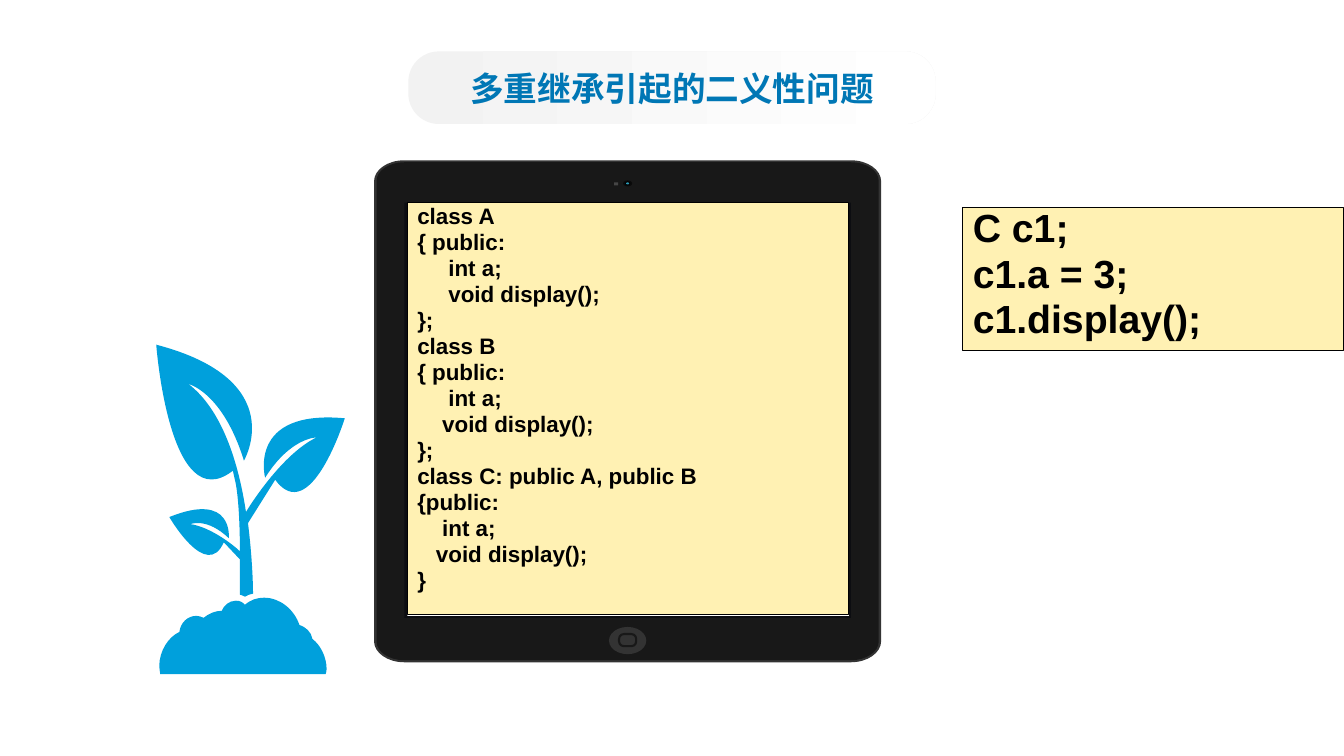
from collections import namedtuple

from lxml import etree
from pptx import Presentation
from pptx import util as u
from pptx.dml.color import RGBColor
from pptx.enum import shapes, text
from pptx.oxml.ns import qn

COLORS = {
    "frame": "333333", "body": "181818", "lens": "0A0A0A", "pupil": "000000",
    "glint": "2C99B4", "sensor": "464646", "bezel": "0C0D11", "white": "FFFFFF",
    "plant": "00A0DC", "title": "0077B5", "fade": "F2F2F2",
    "code": "FFF1B3", "ink": "000000",
}
RECT, OVAL, ROUND = (shapes.MSO_SHAPE.RECTANGLE, shapes.MSO_SHAPE.OVAL,
                     shapes.MSO_SHAPE.ROUNDED_RECTANGLE)
Box = namedtuple("Box", "x y w h")

SLIDE = Box(0, 0, 13.33, 7.5)
SLIDE_GRID = (1333, 750)
TABLET_GRID = (503, 498)
PLANT_GRID = (187, 327)

MOUND = [
    (23, 285), (24, 276, 31, 269, 40, 269), (42, 269, 45, 270, 47, 271),
    (52, 267, 58, 264, 65, 264), (67, 259, 72, 254, 79, 254),
    (83, 254, 85, 255, 88, 258), (94, 253, 100, 251, 107, 251),
    (123, 251, 137, 263, 142, 278), (148, 280, 154, 285, 155, 292),
    (163, 298, 169, 310, 169, 322), (169, 325, 168, 326, 168, 327),
    (4, 327), (4, 325, 3, 322, 3, 319), (3, 304, 12, 290, 23, 285),
]
SPROUT = [
    (108, 132), (133, 92, 159, 92, 159, 92), (126, 108, 95, 156, 89, 166),
    (82, 119, 66, 65, 32, 39), (32, 39, 66, 47, 87, 115),
    (87, 115, 134, 35, 0, 0), (0, 0, 13, 174, 76, 125), (78, 134),
    (81, 145, 83, 174, 83, 205), (77, 199, 54, 181, 34, 178),
    (34, 178, 50, 171, 72, 192), (72, 192, 77, 145, 13, 171),
    (13, 171, 50, 235, 67, 196), (83, 213), (83, 225, 83, 237, 83, 248),
    (84, 248, 86, 249, 88, 250), (90, 248, 93, 248, 96, 247),
    (96, 236, 95, 209, 91, 177), (118, 134),
    (153, 182, 187, 73, 187, 73), (90, 64, 108, 132, 108, 132),
]
CLASSES = [
    (0, "class A"), (0, "{ public:"), (5, "int a;"), (5, "void display();"), (0, "};"),
    (0, "class B"), (0, "{ public:"), (5, "int a;"), (4, "void display();"), (0, "};"),
    (0, "class C: public A, public B"), (0, "{public:"), (4, "int a;"),
    (3, "void display();"), (0, "}"),
]
USAGE = [(0, "C c1;"), (0, "c1.a = 3;"), (0, "c1.display();")]


def color(name):
    return RGBColor.from_string(COLORS[name])


def within(box, grid, x, y, w, h):
    across, down = box.w / grid[0], box.h / grid[1]
    return Box(box.x + x * across, box.y + y * down, w * across, h * down)


def assign(target, values):
    for name, value in values.items():
        setattr(target, name, value)


def paint(shape, fill, line=None, width=0.75):
    shape.shadow.inherit = False
    if fill:
        shape.fill.solid()
        shape.fill.fore_color.rgb = color(fill)
    else:
        shape.fill.background()
    if line:
        shape.line.color.rgb = color(line)
        shape.line.width = u.Pt(width)
    else:
        shape.line.fill.background()


def add_preset(slide, kind, box, *style):
    shape = slide.shapes.add_shape(kind, *map(u.Inches, box))
    paint(shape, *style)
    return shape


def add_outline(slide, box, grid, outline, fill):
    unit = 1000

    def place(x, y):
        return (round(unit * (box.x + x * box.w / grid[0])),
                round(unit * (box.y + y * box.h / grid[1])))

    ends = [place(*segment[-2:]) for segment in outline]
    left, top = (min(values) for values in zip(*ends))
    builder = slide.shapes.build_freeform(*ends[0], scale=u.Inches(1) / unit)
    builder.add_line_segments(ends[1:], close=True)
    shape = builder.convert_to_shape()
    lines = list(shape._element.iter(qn("a:lnTo")))
    for line, segment in zip(lines, outline[1:]):
        if len(segment) == 6:
            line.tag = qn("a:cubicBezTo")
            for child in list(line):
                line.remove(child)
            for start in (0, 2, 4):
                x, y = place(*segment[start:start + 2])
                etree.SubElement(line, qn("a:pt"), x=str(x - left), y=str(y - top))
    paint(shape, fill)


def rounded(x, y, w, h, rx, ry):
    r, b, near = x + w, y + h, 0.45
    kx, ky = rx * near, ry * near
    return [
        (x + rx, y), (r - rx, y), (r - kx, y, r, y + ky, r, y + ry),
        (r, b - ry), (r, b - ky, r - kx, b, r - rx, b),
        (x + rx, b), (x + kx, b, x, b - ky, x, b - ry),
        (x, y + ry), (x, y + ky, x + kx, y, x + rx, y),
    ]


def add_tablet(slide, box):
    for edge, fill in ((0, "frame"), (2.5, "body")):
        case = rounded(edge, edge * 0.8, 503 - 2 * edge, 498 - 1.6 * edge, 30 - edge, 21 - edge)
        add_outline(slide, box, TABLET_GRID, case, fill)
    parts = [
        (OVAL, (247, 20, 9, 6), ("lens",)),
        (OVAL, (249, 21, 5, 4), ("pupil",)),
        (OVAL, (250, 22, 3, 2), ("glint",)),
        (RECT, (238, 22, 4, 3), ("sensor",)),
        (RECT, (30, 42, 443, 412), ("bezel",)),
        (RECT, (33, 43, 438, 409), ("white",)),
        (OVAL, (233, 463, 37, 27), ("frame",)),
        (ROUND, (243, 470, 17, 12), (None, "body", 1.5)),
    ]
    for kind, cells, style in parts:
        part = add_preset(slide, kind, within(box, TABLET_GRID, *cells), *style)
        if kind == ROUND:
            part.adjustments[0] = 0.4


def add_plant(slide, box):
    for outline in (MOUND, SPROUT):
        add_outline(slide, box, PLANT_GRID, outline, "plant")


def add_code(slide, box, lines, size):
    panel = add_preset(slide, RECT, box, "code", "ink")
    frame = panel.text_frame
    assign(frame, {"word_wrap": True, "vertical_anchor": text.MSO_ANCHOR.TOP})
    space_width = size * 0.278
    hanging = u.Inches(0.2)
    for number, (depth, line) in enumerate(lines):
        paragraph = frame.paragraphs[0] if number == 0 else frame.add_paragraph()
        assign(paragraph, {"alignment": text.PP_ALIGN.LEFT, "line_spacing": 0.8})
        properties = paragraph._p.get_or_add_pPr()
        properties.set("marL", str(hanging + u.Pt(depth * space_width)))
        properties.set("indent", str(-hanging))
        before = etree.SubElement(properties, qn("a:spcBef"))
        etree.SubElement(before, qn("a:spcPct"), val="20000")
        run = paragraph.add_run()
        run.text = line
        assign(run.font, {"name": "Arial", "size": u.Pt(size), "bold": True})
        run.font.color.rgb = color("ink")


def add_title(slide, box):
    pill = add_preset(slide, ROUND, box, "fade")
    pill.adjustments[0] = 0.42
    pill.fill.gradient()
    pill.fill.gradient_angle = 0
    for stop, name, place in zip(pill.fill.gradient_stops, ("fade", "white"), (0, 0.99)):
        stop.color.rgb = color(name)
        stop.position = place
    title = slide.shapes.title
    pill._element.addnext(title._element)
    assign(title, dict(zip(("left", "top", "width", "height"), map(u.Inches, box))))
    assign(title.text_frame, {"word_wrap": True, "auto_size": text.MSO_AUTO_SIZE.NONE,
                              "vertical_anchor": text.MSO_ANCHOR.MIDDLE})
    paragraph = title.text_frame.paragraphs[0]
    paragraph.alignment = text.PP_ALIGN.CENTER
    run = paragraph.add_run()
    run.text = "多重继承引起的二义性问题"
    assign(run.font, {"name": "Noto Sans CJK SC", "size": u.Pt(24), "bold": True})
    run.font.color.rgb = color("title")
    etree.SubElement(run._r.get_or_add_rPr(), qn("a:ea"), typeface="Noto Sans CJK SC")


def main():
    deck = Presentation()
    assign(deck, {"slide_width": u.Inches(SLIDE.w), "slide_height": u.Inches(SLIDE.h)})
    slide = deck.slides.add_slide(deck.slide_layouts[5])

    def area(*cells):
        return within(SLIDE, SLIDE_GRID, *cells)

    add_tablet(slide, area(371, 159, 503, 498))
    add_plant(slide, area(155, 342, 187, 327))
    add_title(slide, area(405, 51, 523, 72))
    add_code(slide, area(955, 206, 378, 142), USAGE, 28)
    add_code(slide, area(404, 201, 438, 409), CLASSES, 16)
    deck.save("out.pptx")


if __name__ == "__main__":
    main()
